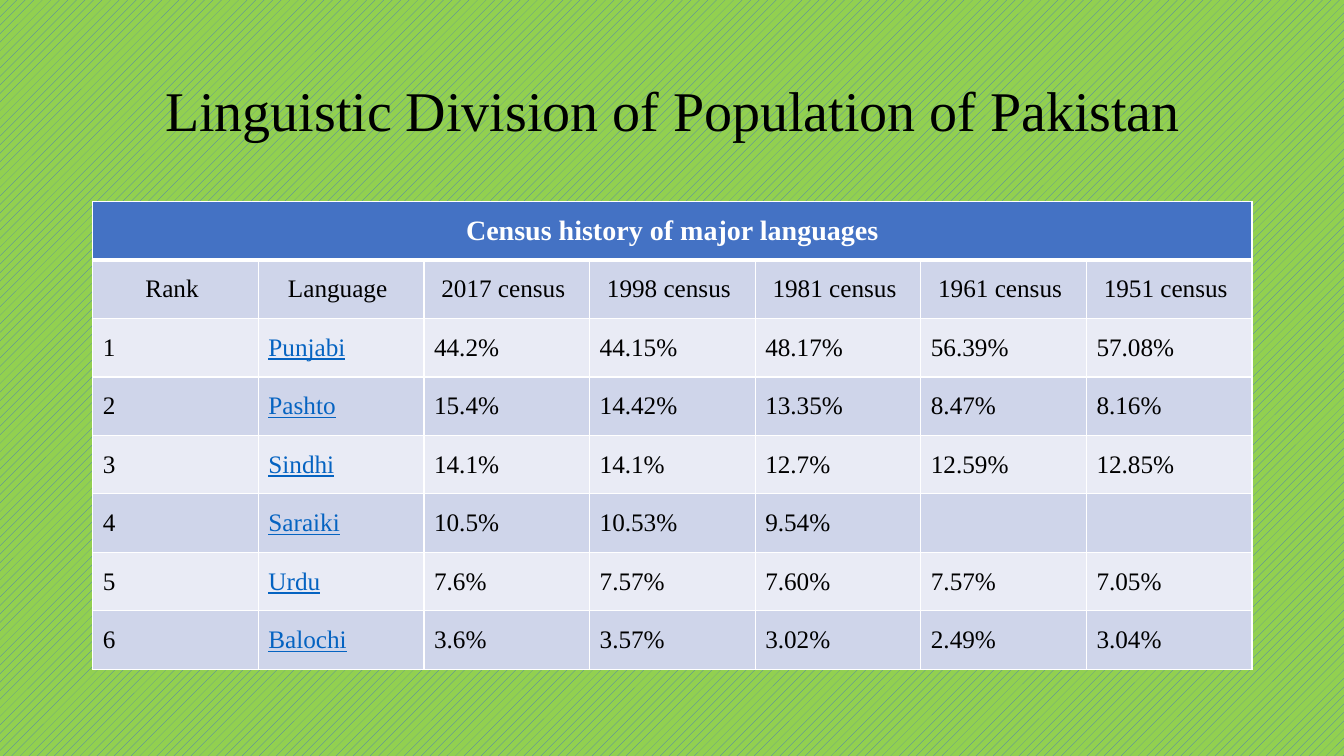
from dataclasses import dataclass

from lxml.etree import SubElement
from pptx import Presentation
from pptx.dml.color import RGBColor
from pptx.enum.dml import MSO_PATTERN
from pptx.enum.text import MSO_ANCHOR, PP_ALIGN
from pptx.oxml.ns import qn
from pptx.util import Emu, Pt

EMU_PER_PX = 9144
LANGUAGE_COLUMN = 1

CAPTION = "Census history of major languages"
HEADINGS = ["Rank", "Language", "2017 census", "1998 census", "1981 census",
            "1961 census", "1951 census"]
LANGUAGES = [
    ["1", "Punjabi", "44.2%", "44.15%", "48.17%", "56.39%", "57.08%"],
    ["2", "Pashto", "15.4%", "14.42%", "13.35%", "8.47%", "8.16%"],
    ["3", "Sindhi", "14.1%", "14.1%", "12.7%", "12.59%", "12.85%"],
    ["4", "Saraiki", "10.5%", "10.53%", "9.54%", "", ""],
    ["5", "Urdu", "7.6%", "7.57%", "7.60%", "7.57%", "7.05%"],
    ["6", "Balochi", "3.6%", "3.57%", "3.02%", "2.49%", "3.04%"],
]


@dataclass(frozen=True)
class Theme:
    font: str = "Times New Roman"
    ink: str = "000000"
    white: str = "FFFFFF"
    link: str = "0563C1"
    accent: str = "4472C4"
    ground: str = "92D050"
    bands: tuple = ("E9EBF5", "CFD5EA")
    title_size: int = 40
    caption_size: int = 20
    body_size: int = 18
    thin_rule: int = 1
    thick_rule: int = 3


def px(length):
    return Emu(int(length * EMU_PER_PX))


class SlideBuilder:
    def __init__(self, slide, theme):
        self.slide = slide
        self.theme = theme

    def background(self):
        fill = self.slide.background.fill
        fill.patterned()
        fill.pattern = MSO_PATTERN.PERCENT_20
        fill.fore_color.rgb = RGBColor.from_string(self.theme.accent)
        fill.back_color.rgb = RGBColor.from_string(self.theme.ground)

    def set_text(self, frame, text, size, color, align, bold=False, underline=False):
        frame.text = text
        paragraph = frame.paragraphs[0]
        paragraph.alignment = align
        font = paragraph.runs[0].font if paragraph.runs else paragraph.font
        font.name = self.theme.font
        font.size = Pt(size)
        font.bold = bold
        font.underline = underline
        font.color.rgb = RGBColor.from_string(color)

    def title(self, text, left, top, width, height):
        heading = self.slide.shapes.title
        heading.left, heading.top = px(left), px(top)
        heading.width, heading.height = px(width), px(height)
        frame = heading.text_frame
        self.set_text(frame, text, self.theme.title_size, self.theme.ink, PP_ALIGN.CENTER)
        frame.vertical_anchor = MSO_ANCHOR.MIDDLE
        frame.paragraphs[0].line_spacing = 0.9

    def cell_borders(self, cell, row):
        properties = cell._tc.get_or_add_tcPr()
        thick_side = {0: "lnB", 1: "lnT"}.get(row)
        for side in ("lnL", "lnR", "lnT", "lnB"):
            points = self.theme.thick_rule if side == thick_side else self.theme.thin_rule
            line = SubElement(properties, qn(f"a:{side}"), w=str(Pt(points)))
            fill = SubElement(line, qn("a:solidFill"))
            SubElement(fill, qn("a:srgbClr"), val=self.theme.white)

    def census_table(self, rows, left, top, width, row_height):
        """Draw the caption row, the heading row and the banded language rows."""
        theme = self.theme
        columns = len(rows[1])
        table = self.slide.shapes.add_table(
            len(rows), columns, px(left), px(top), px(width), px(row_height * len(rows))).table
        for column in table.columns:
            column.width = px(width / columns)
        for row, values in enumerate(rows):
            table.rows[row].height = px(row_height)
            for column in range(columns):
                cell = table.cell(row, column)
                self.cell_borders(cell, row)
                cell.fill.solid()
                cell.fill.fore_color.rgb = RGBColor.from_string(
                    theme.bands[row % 2] if row else theme.accent)
                cell.vertical_anchor = MSO_ANCHOR.MIDDLE
                if row == 1:
                    cell.margin_right = px(17)
                if column >= len(values):
                    continue
                is_link = row > 1 and column == LANGUAGE_COLUMN
                color = theme.link if is_link else theme.ink if row else theme.white
                self.set_text(cell.text_frame, values[column],
                              theme.body_size if row else theme.caption_size, color,
                              PP_ALIGN.LEFT if row > 1 else PP_ALIGN.CENTER,
                              bold=row == 0, underline=is_link)
        table.cell(0, 0).merge(table.cell(0, columns - 1))


def main():
    presentation = Presentation()
    presentation.slide_width, presentation.slide_height = px(1333), px(750)
    title_only = presentation.slide_layouts[5]
    builder = SlideBuilder(presentation.slides.add_slide(title_only), Theme())
    builder.background()
    builder.title("Linguistic Division of Population of Pakistan", 92, 40, 1150, 145)
    # Rows alternate from the heading row down, below the caption.
    builder.census_table([[CAPTION], HEADINGS, *LANGUAGES], 92, 200, 1150, 58)
    presentation.save("out.pptx")


if __name__ == "__main__":
    main()
